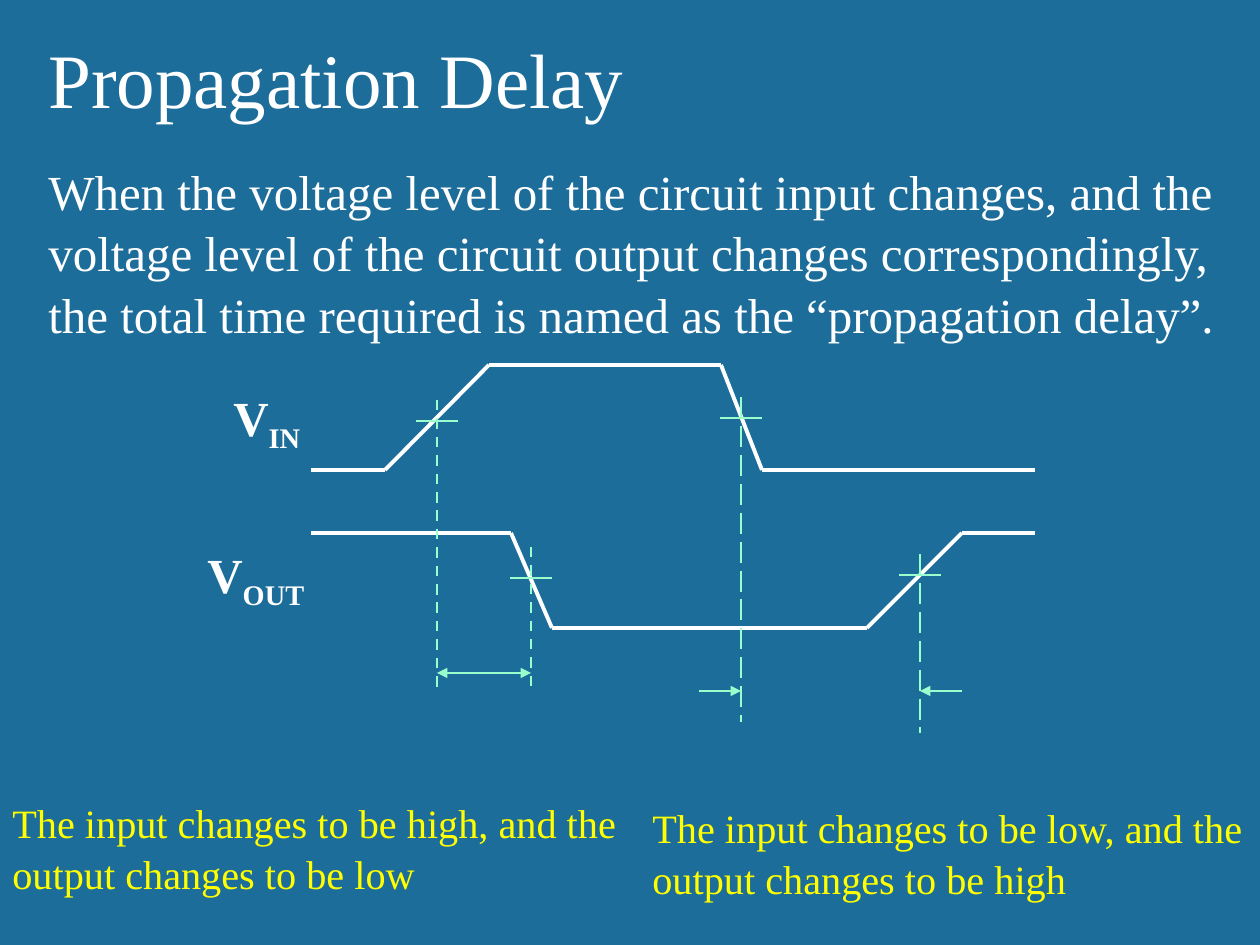
import itertools
from typing import NamedTuple

import pptx
import pptx.dml.color
import pptx.enum.dml
import pptx.enum.shapes
import pptx.enum.text
import pptx.oxml.ns
import pptx.util
from lxml import etree

RGB = pptx.dml.color.RGBColor
DASH = pptx.enum.dml.MSO_LINE.DASH
LONG = pptx.enum.dml.MSO_LINE.LONG_DASH
NAVY = RGB(0x1C, 0x6D, 0x9A)
WHITE = RGB(0xFF, 0xFF, 0xFF)
MINT = RGB(0x99, 0xFF, 0xCC)
YELLOW = RGB(0xFF, 0xFF, 0x00)
SCALE = 914400 / 126


class Point(NamedTuple):
    x: int
    y: int


class Box(NamedTuple):
    x: int
    y: int
    w: int
    h: int


class Wave(NamedTuple):
    name: str
    box: Box
    points: list[Point]


class Guide(NamedTuple):
    x: int
    top: int
    end: int
    cross: int
    dash: int


class Arrow(NamedTuple):
    start: Point
    end: Point
    heads: tuple[str, ...]


class Note(NamedTuple):
    text: str
    box: Box
    size: int
    color: RGB
    wrap: bool


WAVES = [
    Wave("IN", Box(221, 378, 98, 72),
         [Point(311, 470), Point(385, 470), Point(489, 365),
          Point(721, 365), Point(762, 470), Point(1035, 470)]),
    Wave("OUT", Box(195, 535, 132, 72),
         [Point(311, 533), Point(511, 533), Point(552, 628),
          Point(867, 628), Point(962, 533), Point(1035, 533)]),
]
GUIDES = [
    Guide(741, 397, 722, 418, LONG),
    Guide(920, 554, 733, 575, LONG),
    Guide(437, 400, 694, 421, DASH),
    Guide(531, 547, 694, 578, DASH),
]
ARROWS = [
    Arrow(Point(699, 691), Point(741, 691), ("tailEnd",)),
    Arrow(Point(962, 691), Point(920, 691), ("tailEnd",)),
    Arrow(Point(437, 673), Point(531, 673), ("headEnd", "tailEnd")),
]
NOTES = [
    Note("When the voltage level of the circuit input changes, and the "
         "voltage level of the circuit output changes correspondingly, "
         "the total time required is named as the “propagation delay”.",
         Box(36, 152, 1220, 190), 28, WHITE, True),
    Note("Propagation Delay", Box(36, 21, 606, 106), 44, WHITE, False),
    Note("The input changes to be high, and the output changes to be low",
         Box(0, 790, 630, 115), 23, YELLOW, True),
    Note("The input changes to be low, and the output changes to be high",
         Box(640, 795, 630, 115), 23, YELLOW, True),
]


def emu(px: int) -> int:
    return round(px * SCALE)


def add_line(shapes, start: Point, end: Point, color: RGB, width: float,
             dash=None, heads: tuple[str, ...] = ()) -> None:
    line = shapes.add_connector(
        pptx.enum.shapes.MSO_CONNECTOR.STRAIGHT, *map(emu, start + end))
    line.line.color.rgb = color
    line.line.width = pptx.util.Pt(width)
    if dash is not None:
        line.line.dash_style = dash
    stroke = line.line._get_or_add_ln()
    for head in heads:
        etree.SubElement(stroke, pptx.oxml.ns.qn(f"a:{head}"), type="triangle")
    etree.SubElement(line._element.spPr, pptx.oxml.ns.qn("a:effectLst"))


def add_text(shapes, text: str, box: Box, *, size: int, color: RGB = WHITE,
             bold: bool = False, wrap: bool = False, sub: str = "") -> None:
    frame = shapes.add_textbox(*map(emu, box)).text_frame
    frame.word_wrap = wrap
    frame.auto_size = pptx.enum.text.MSO_AUTO_SIZE.SHAPE_TO_FIT_TEXT
    para = frame.paragraphs[0]
    para.line_spacing = 1.05
    for part, base in ((text, 0), (sub, -25000)):
        if not part:
            continue
        run = para.add_run()
        run.text = part
        run.font.name = "Times New Roman"
        run.font.size = pptx.util.Pt(size)
        run.font.bold = bold
        run.font.color.rgb = color
        if base:
            run._r.get_or_add_rPr().set("baseline", str(base))


def draw_wave(shapes, wave: Wave) -> None:
    for start, end in itertools.pairwise(wave.points):
        add_line(shapes, start, end, WHITE, 2.25)
    add_text(shapes, "V", wave.box, size=28, bold=True, sub=wave.name)


def draw_guide(shapes, guide: Guide) -> None:
    x, y = guide.x, guide.cross
    add_line(shapes, Point(x, guide.top), Point(x, guide.end), MINT, 1.5,
             dash=guide.dash)
    add_line(shapes, Point(x - 21, y), Point(x + 21, y), MINT, 1.5)


def main() -> None:
    deck = pptx.Presentation()
    deck.slide_width, deck.slide_height = emu(1260), emu(945)
    slide = deck.slides.add_slide(deck.slide_layouts[6])
    slide.background.fill.solid()
    slide.background.fill.fore_color.rgb = NAVY
    shapes = slide.shapes
    for wave in WAVES:
        draw_wave(shapes, wave)
    for guide in GUIDES:
        draw_guide(shapes, guide)
    for arrow in ARROWS:
        add_line(shapes, arrow.start, arrow.end, MINT, 1.5, heads=arrow.heads)
    for note in NOTES:
        add_text(shapes, note.text, note.box, size=note.size,
                 color=note.color, wrap=note.wrap)
    deck.save("out.pptx")


if __name__ == "__main__":
    main()
